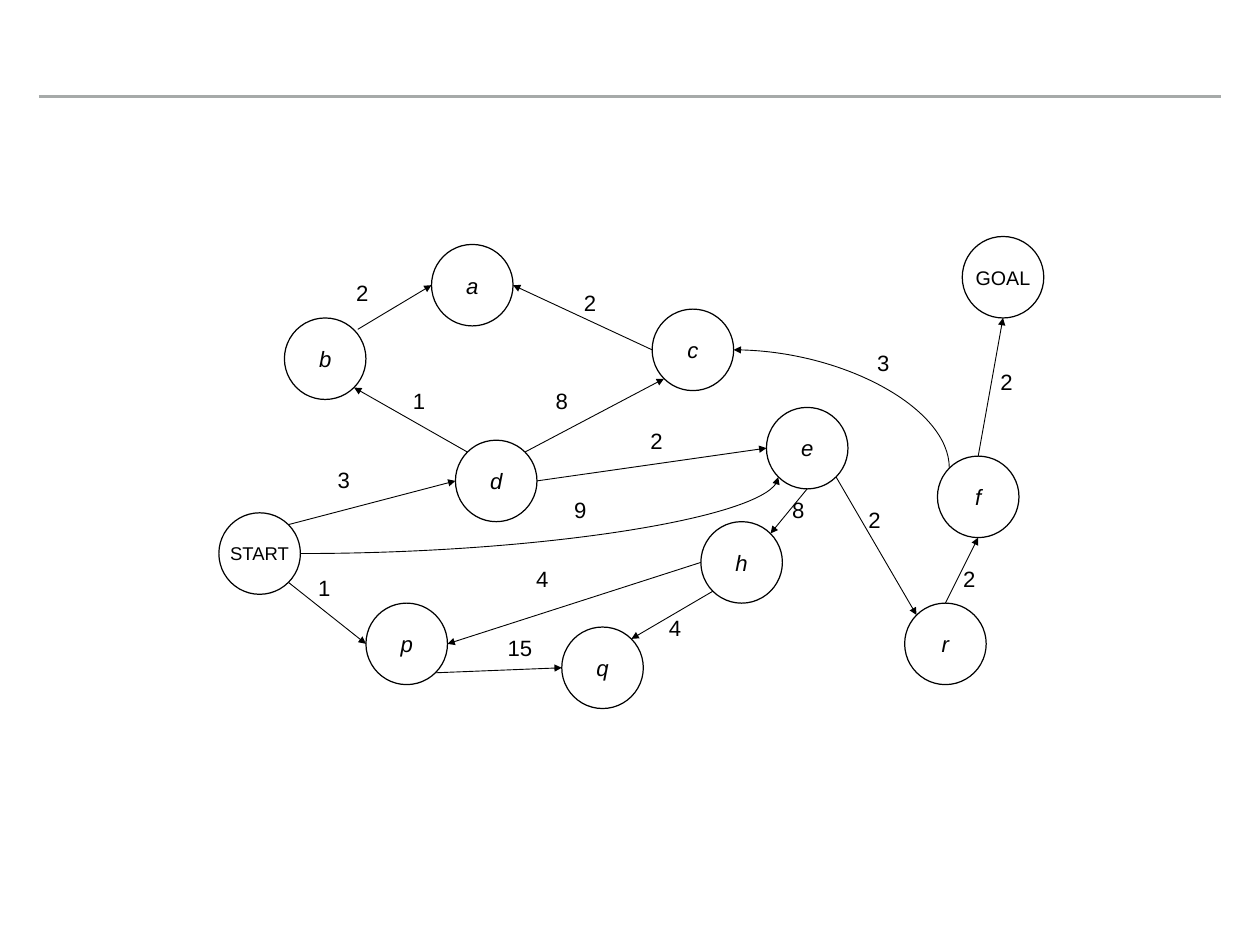
from dataclasses import dataclass

from lxml import etree
from pptx import Presentation
from pptx.dml.color import RGBColor
from pptx.enum import shapes, text
from pptx.oxml.ns import qn
from pptx.util import Inches, Pt


@dataclass(frozen=True)
class Theme:
    ink: RGBColor = RGBColor(0, 0, 0)
    rule: RGBColor = RGBColor(0xA6, 0xAA, 0xA9)
    font: str = "Arial"
    letter_size: int = 18
    start_size: int = 15
    goal_size: int = 16
    node_line: float = 1
    edge_line: float = 0.75
    rule_line: float = 2


THEME = Theme()
RADIUS = 0.46
INSET = 0.05

# Node centres
NODES = {
    "START": (2.93, 6.25), "GOAL": (11.32, 3.13), "d": (5.6, 5.43),
    "b": (3.67, 4.05), "p": (4.59, 7.27), "q": (6.8, 7.54),
    "c": (7.82, 3.95), "e": (9.11, 5.06), "h": (8.37, 6.35),
    "a": (5.33, 3.22), "f": (11.04, 5.61), "r": (10.67, 7.27),
}
WORD_SIZES = {"START": THEME.start_size, "GOAL": THEME.goal_size}

# Points on or beside a node's rim, in radii from its centre
SITES = {
    "N": (0, -1), "NE": (0.71, -0.71), "E": (1, 0), "SE": (0.71, 0.71),
    "S": (0, 1), "SW": (-0.71, 0.71), "W": (-1, 0), "NW": (-0.71, -0.71),
    "ENE": (0.8, -0.72),
}

# Tail node and site, head node and site, cost, left and top of the cost label
STRAIGHT_EDGES = [
    ("START", "SE", "p", "W", "1", 3.54, 6.44),
    ("p", "SE", "q", "W", "15", 5.68, 7.11),
    ("h", "SW", "q", "NE", "4", 7.5, 6.89),
    ("h", "W", "p", "E", "4", 6, 6.33),
    ("e", "S", "h", "NE", "8", 8.89, 5.56),
    ("e", "SE", "r", "NW", "2", 9.75, 5.67),
    ("r", "N", "f", "S", "2", 10.82, 6.33),
    ("f", "N", "GOAL", "S", "2", 11.24, 4.11),
    ("START", "NE", "d", "W", "3", 3.76, 5.22),
    ("d", "NW", "b", "SE", "1", 4.61, 4.33),
    ("b", "ENE", "a", "W", "2", 3.97, 3.11),
    ("c", "W", "a", "E", "2", 6.54, 3.22),
    ("d", "NE", "c", "SW", "8", 6.22, 4.33),
    ("d", "E", "e", "W", "2", 7.29, 4.78),
]
CURVED_EDGES = [
    ("f", "NW", "c", "E", "3", 9.85, 3.89),
    ("START", "E", "e", "SW", "9", 6.43, 5.56),
]


def set_values(target, values):
    for name, value in values.items():
        setattr(target, name, value)


def site_point(node, site):
    return tuple(centre + RADIUS * offset
                 for centre, offset in zip(NODES[node], SITES[site]))


def style_line(shape, color, width):
    shape.line.color.rgb = color
    shape.line.width = Pt(width)


def add_arrowhead(shape):
    outline = shape.element.spPr.find(qn("a:ln"))
    etree.SubElement(outline, qn("a:tailEnd"), type="triangle")


def write_text(shape, words, size, inset, wrap, anchor, align, italic=False):
    frame = shape.text_frame
    margins = {f"margin_{side}": Inches(inset)
               for side in ("left", "top", "right", "bottom")}
    set_values(frame, {"word_wrap": wrap, "vertical_anchor": anchor, **margins})
    para = frame.paragraphs[0]
    para.alignment = align
    span = para.add_run()
    span.text = words
    set_values(span.font, {"name": THEME.font, "size": Pt(size), "italic": italic})
    span.font.color.rgb = THEME.ink


def add_node(page, name):
    x, y = NODES[name]
    circle = page.shapes.add_shape(
        shapes.MSO_SHAPE.OVAL, Inches(x - RADIUS), Inches(y - RADIUS),
        Inches(2 * RADIUS), Inches(2 * RADIUS))
    circle.shadow.inherit = False
    circle.fill.background()
    style_line(circle, THEME.ink, THEME.node_line)
    write_text(circle, name, WORD_SIZES.get(name, THEME.letter_size), 0, False,
               text.MSO_ANCHOR.MIDDLE, text.PP_ALIGN.CENTER,
               italic=name not in WORD_SIZES)


def add_line(page, start, end, color, width):
    line = page.shapes.add_connector(
        shapes.MSO_CONNECTOR.STRAIGHT, *map(Inches, start + end))
    style_line(line, color, width)
    etree.SubElement(line.element.spPr, qn("a:effectLst"))
    return line


def add_curve(page, start, end, upright):
    """Draw a quarter bend that leaves start vertically if upright, else horizontally."""
    (x1, y1), (x2, y2) = start, end
    mid_x, mid_y = (x1 + x2) / 2, (y1 + y2) / 2
    if upright:
        controls = [(x1, mid_y), (mid_x, y2)]
    else:
        controls = [(mid_x, y1), (x2, mid_y)]
    builder = page.shapes.build_freeform(Inches(x1), Inches(y1))
    builder.add_line_segments(
        [(Inches(x), Inches(y)) for x, y in controls + [end]], close=False)
    curve = builder.convert_to_shape()
    segments = list(curve.element.iter(qn("a:lnTo")))
    bezier = etree.SubElement(segments[0].getparent(), qn("a:cubicBezTo"))
    for segment in segments:
        bezier.append(segment[0])
        segment.getparent().remove(segment)
    curve.shadow.inherit = False
    curve.fill.background()
    style_line(curve, THEME.ink, THEME.edge_line)
    return curve


def add_cost(page, cost, left, top):
    width = 0.43 if len(cost) == 1 else 0.64
    box = page.shapes.add_textbox(
        Inches(left), Inches(top), Inches(width), Inches(0.49))
    write_text(box, cost, THEME.letter_size, INSET, True,
               text.MSO_ANCHOR.TOP, text.PP_ALIGN.LEFT)


def main():
    deck = Presentation()
    set_values(deck, {"slide_width": Inches(14.22), "slide_height": Inches(10.67)})
    page = deck.slides.add_slide(deck.slide_layouts[6])
    add_line(page, (0.44, 1.09), (13.78, 1.09), THEME.rule, THEME.rule_line)
    for name in NODES:
        add_node(page, name)
    for tail, tail_site, head, head_site, *_ in STRAIGHT_EDGES:
        add_arrowhead(add_line(
            page, site_point(tail, tail_site), site_point(head, head_site),
            THEME.ink, THEME.edge_line))
    for tail, tail_site, head, head_site, *_ in CURVED_EDGES:
        add_arrowhead(add_curve(
            page, site_point(tail, tail_site), site_point(head, head_site),
            upright=tail_site != "E"))
    for *_, cost, left, top in STRAIGHT_EDGES + CURVED_EDGES:
        add_cost(page, cost, left, top)
    deck.save("out.pptx")


if __name__ == "__main__":
    main()
